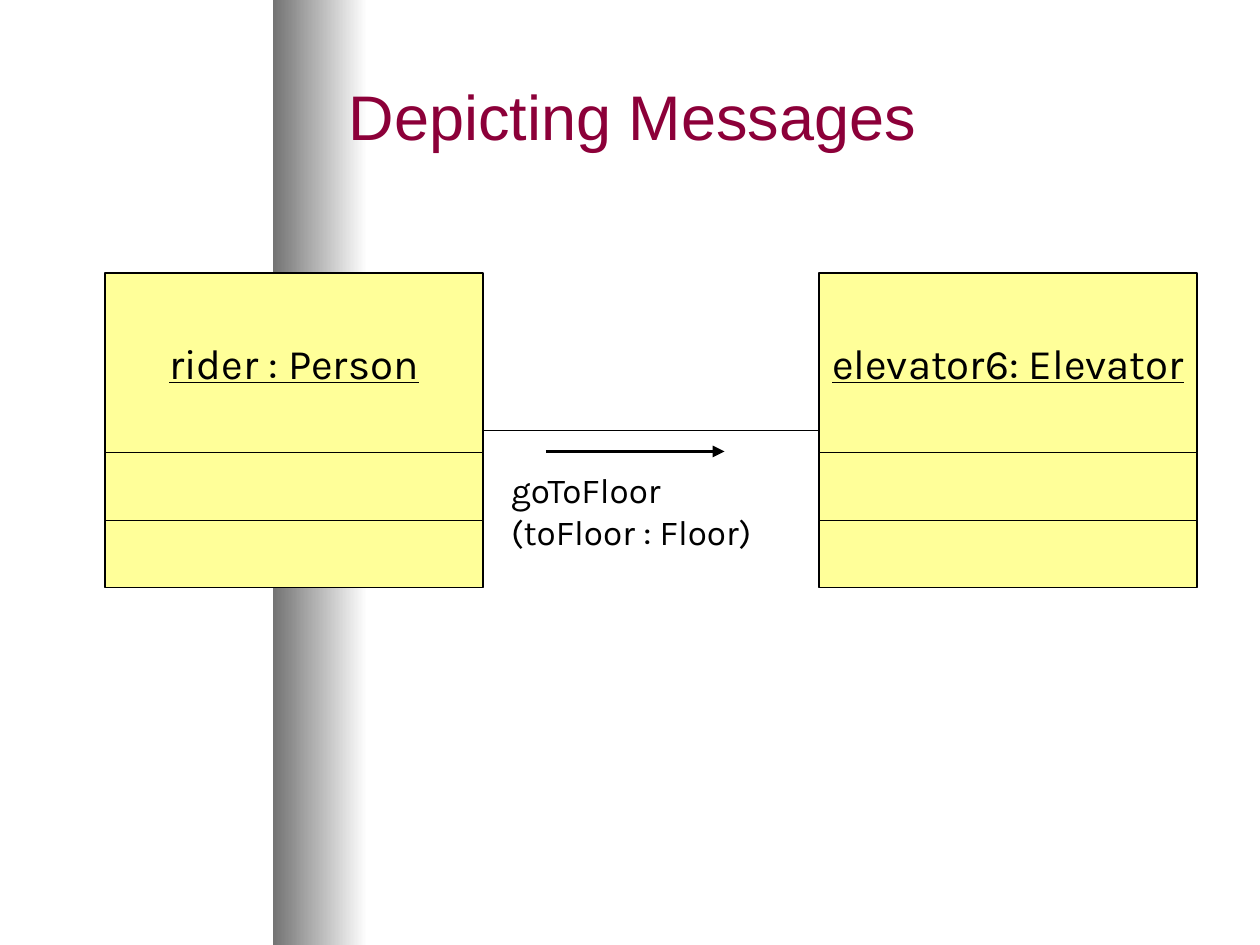
import lxml.etree
import pptx
import pptx.util
import pptx.dml.color
import pptx.enum.shapes
import pptx.enum.text
import pptx.oxml.ns

Pt = pptx.util.Pt
ANCHOR = pptx.enum.text.MSO_ANCHOR
ALIGN = pptx.enum.text.PP_ALIGN
RECTANGLE = pptx.enum.shapes.MSO_SHAPE.RECTANGLE

# Content
TITLE = "Depicting Messages"
OBJECTS = [("rider : Person", 60), ("elevator6: Elevator", 468)]  # name, left
MESSAGE = ["goToFloor", "(toFloor : Floor)"]

COLORS = {"title": "8C0039", "ink": "000000", "object": "FFFF99",
          "band dark": "737373", "band light": "FFFFFF"}

# Layout
OBJECT_TOP, OBJECT_WIDTH = 156, 216
NAME_HEIGHT, COMPARTMENT_HEIGHT = 102.75, 38.6
LINK_Y, ARROW_Y = 246, 258


def color(name):
    return pptx.dml.color.RGBColor.from_string(COLORS[name])


def write(shape, lines, size, font, ink, align, underline=None):
    frame = shape.text_frame
    frame.text = "\n".join(lines)
    for para in frame.paragraphs:
        para.alignment = align
        for span in para.runs:
            span.font.size = Pt(size)
            span.font.name = font
            span.font.color.rgb = color(ink)
            span.font.underline = underline


def add_compartment(group, left, top, height):
    box = group.shapes.add_shape(RECTANGLE, Pt(left), Pt(top), Pt(OBJECT_WIDTH), Pt(height))
    box.shadow.inherit = False
    box.fill.solid()
    box.fill.fore_color.rgb = color("object")
    box.line.color.rgb = color("ink")
    box.line.width = Pt(0.75)
    return box


def add_object(slide, name, left):
    group = slide.shapes.add_group_shape()
    name_box = add_compartment(group, left, OBJECT_TOP, NAME_HEIGHT)
    name_box.text_frame.word_wrap = False
    name_box.text_frame.vertical_anchor = ANCHOR.MIDDLE
    write(name_box, [name], 24, "Karla", "ink", ALIGN.CENTER, underline=True)
    for row in (1, 0):
        top = OBJECT_TOP + NAME_HEIGHT + row * COMPARTMENT_HEIGHT
        add_compartment(group, left, top, COMPARTMENT_HEIGHT)


def add_line(slide, start, end, y, width, arrow=False):
    line = slide.shapes.add_connector(pptx.enum.shapes.MSO_CONNECTOR.STRAIGHT,
                                      Pt(start), Pt(y), Pt(end), Pt(y))
    line.line.color.rgb = color("ink")
    line.line.width = Pt(width)
    if arrow:
        lxml.etree.SubElement(line.line._get_or_add_ln(),
                              pptx.oxml.ns.qn("a:tailEnd"), type="triangle")
    lxml.etree.SubElement(line._element.spPr, pptx.oxml.ns.qn("a:effectLst"))


def main():
    deck = pptx.Presentation()
    deck.slide_width, deck.slide_height = Pt(720), Pt(540)
    slide = deck.slides.add_slide(deck.slide_layouts[5])

    # Gradient band, behind the title
    band = slide.shapes.add_shape(RECTANGLE, Pt(156), Pt(0), Pt(54), deck.slide_height)
    band.shadow.inherit = False
    band.line.fill.background()
    band.fill.gradient()
    band.fill.gradient_angle = 0
    for stop, name in zip(band.fill.gradient_stops, ("band dark", "band light")):
        stop.color.rgb = color(name)
    title = slide.shapes.title
    title._element.addprevious(band._element)

    # Title
    title.left, title.top, title.width, title.height = Pt(192), Pt(18), Pt(504), Pt(96)
    title.text_frame.vertical_anchor = ANCHOR.MIDDLE
    write(title, [TITLE], 36, "Arial", "title", ALIGN.LEFT)

    # Objects with their compartments
    for name, left in OBJECTS:
        add_object(slide, name, left)

    # Link between the objects and message arrow
    add_line(slide, OBJECTS[0][1] + OBJECT_WIDTH, OBJECTS[1][1], LINK_Y, 0.75)
    add_line(slide, 312, 414, ARROW_Y, 2.25, arrow=True)

    # Message label
    label = slide.shapes.add_textbox(Pt(285), Pt(264), Pt(158), Pt(55.5))
    label.text_frame.word_wrap = False
    label.text_frame.auto_size = pptx.enum.text.MSO_AUTO_SIZE.SHAPE_TO_FIT_TEXT
    write(label, MESSAGE, 20, "Karla", "ink", ALIGN.LEFT)

    deck.save("out.pptx")


if __name__ == "__main__":
    main()
